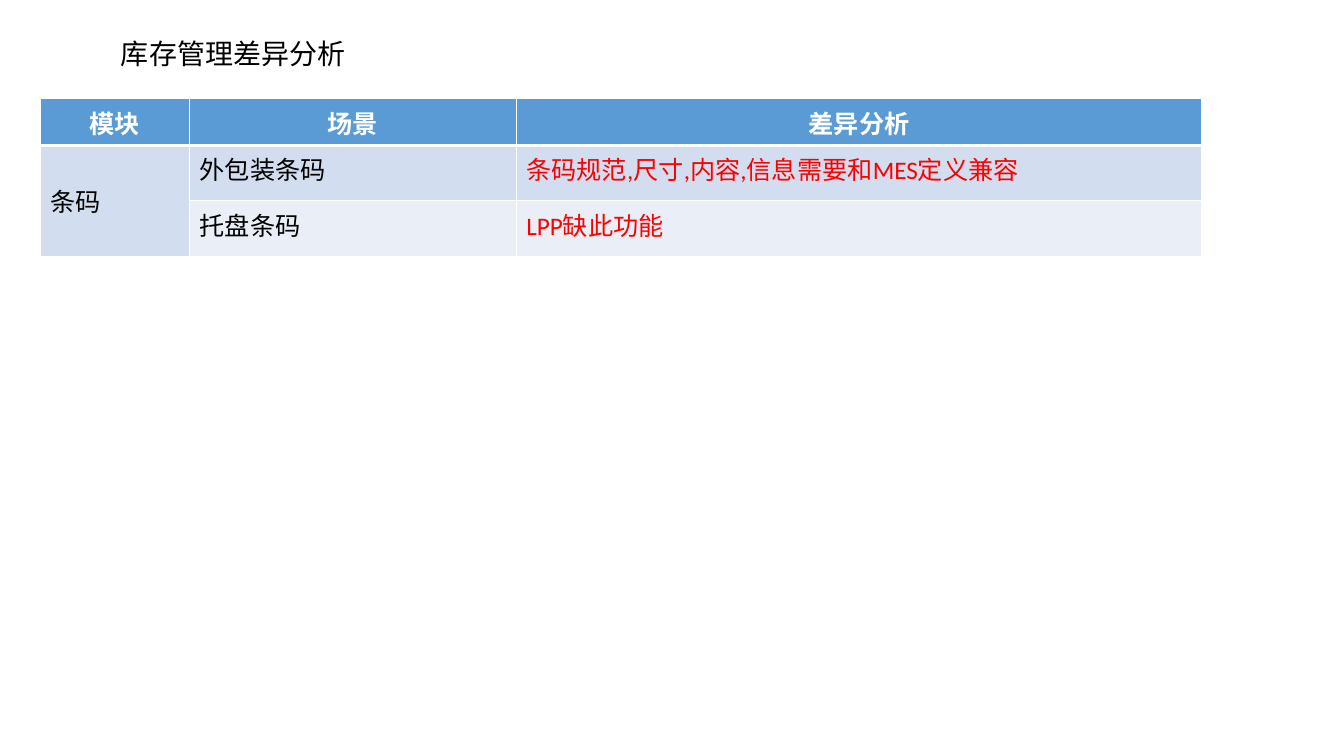
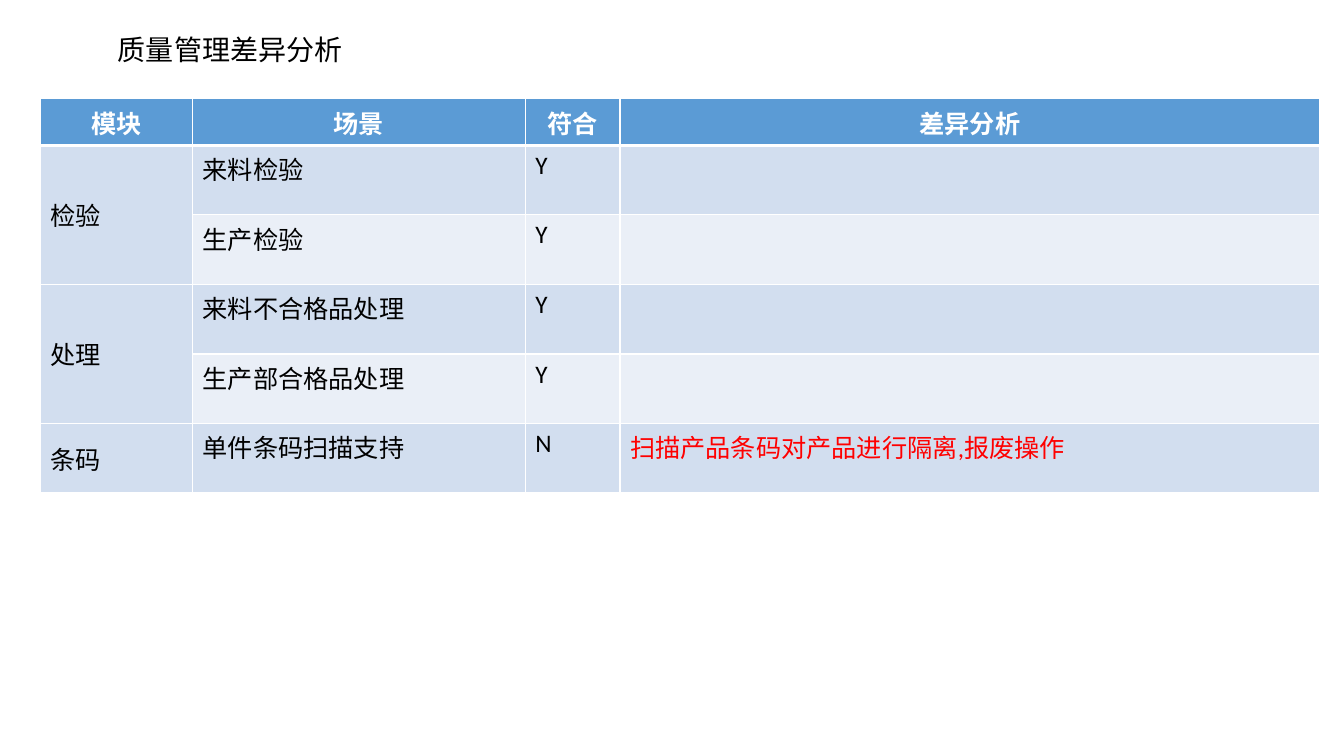
from lxml import etree
from pptx import Presentation
from pptx.dml.color import RGBColor
from pptx.enum.text import MSO_ANCHOR, MSO_AUTO_SIZE, PP_ALIGN
from pptx.oxml.ns import qn
from pptx.util import Inches, Pt

CENTER, LEFT = PP_ALIGN.CENTER, PP_ALIGN.LEFT
MIDDLE, TOP = MSO_ANCHOR.MIDDLE, MSO_ANCHOR.TOP
NO_AUTOFIT = MSO_AUTO_SIZE.NONE

COLORS = {"header": "5B9BD5", "odd": "D2DEEF", "even": "EAEFF7",
          "white": "FFFFFF", "black": "000000", "gap": "FF0000"}
LATIN, CJK = "Calibri", "Noto Sans CJK SC"
TABLE_LEFT, TABLE_TOP = 0.4, 0.98
TITLE_SIZE = (4.12, 0.44)

# Content: a None module continues the module above it
SLIDES = [
    {"title": "库存管理差异分析", "title_at": (1.1, 0.31),
     "cols": [1.48, 3.24, 6.8], "header_h": 0.32, "row_h": 0.55, "height": 1.51,
     "rows": [("模块", "场景", "差异分析"),
              ("条码", "外包装条码", "条码规范,尺寸,内容,信息需要和MES定义兼容"),
              (None, "托盘条码", "LPP缺此功能")]},
    {"title": "质量管理差异分析", "title_at": (1.07, 0.27),
     "cols": [1.51, 3.3, 0.94, 6.94], "header_h": 0.4, "row_h": 0.69, "height": 3.83,
     "rows": [("模块", "场景", "符合", "差异分析"),
              ("检验", "来料检验", "Y", ""),
              (None, "生产检验", "Y", ""),
              ("处理", "来料不合格品处理", "Y", ""),
              (None, "生产部合格品处理", "Y", ""),
              ("条码", "单件条码扫描支持", "N", "扫描产品条码对产品进行隔离,报废操作")]},
]


def rgb(name):
    return RGBColor.from_string(COLORS[name])


def style_text(p, size, color, latin, bold=False):
    p.font.size = Pt(size)
    for r in p.runs:
        r.font.size, r.font.bold = Pt(size), bold
        r.font.name = latin
        r.font.color.rgb = rgb(color)
        ea = etree.Element(qn("a:ea"), typeface=CJK)
        r._r.get_or_add_rPr().find(qn("a:latin")).addnext(ea)


def set_borders(cell, row):
    """White grid, with a heavier rule under the header row."""
    widths = {"L": 1, "R": 1, "T": 3 if row == 1 else 1, "B": 3 if row == 0 else 1}
    for side, width in widths.items():
        ln = etree.SubElement(cell._tc.get_or_add_tcPr(), qn(f"a:ln{side}"), w=str(Pt(width)))
        fill = etree.SubElement(ln, qn("a:solidFill"))
        etree.SubElement(fill, qn("a:srgbClr"), val=COLORS["white"])


def add_title(s, text, at):
    sp = s.shapes.title
    sp.left, sp.top = map(Inches, at)
    sp.width, sp.height = map(Inches, TITLE_SIZE)
    tf = sp.text_frame
    tf.text = text
    tf.word_wrap, tf.auto_size, tf.vertical_anchor = True, NO_AUTOFIT, MIDDLE
    p = tf.paragraphs[0]
    p.alignment = LEFT
    style_text(p, 20, "black", CJK)


def add_gap_table(s, data):
    rows, cols = data["rows"], data["cols"]
    frame = s.shapes.add_table(len(rows), len(cols), Inches(TABLE_LEFT), Inches(TABLE_TOP),
                               Inches(sum(cols)), Inches(data["height"]))
    table = frame.table
    for col, width in zip(table.columns, cols):
        col.width = Inches(width)
    for i, values in enumerate(rows):
        table.rows[i].height = Inches(data["row_h"] if i else data["header_h"])
        band = "header" if i == 0 else "odd" if i % 2 else "even"
        for j, value in enumerate(values):
            cell = table.cell(i, j)
            set_borders(cell, i)
            cell.fill.solid()
            cell.fill.fore_color.rgb = rgb(band)
            cell.vertical_anchor = MIDDLE if i and j == 0 else TOP
            cell.text = value or ""
            p = cell.text_frame.paragraphs[0]
            p.alignment = LEFT if i else CENTER
            color = "white" if i == 0 else "gap" if j == len(cols) - 1 else "black"
            style_text(p, 18, color, LATIN, bold=i == 0)
        if values[0] is None:
            table.cell(i - 1, 0).merge(table.cell(i, 0))
    frame.height = Inches(data["height"])


def main():
    prs = Presentation()
    prs.slide_width, prs.slide_height = Inches(13.33), Inches(7.5)
    for data in SLIDES:
        s = prs.slides.add_slide(prs.slide_layouts[5])
        add_title(s, data["title"], data["title_at"])
        add_gap_table(s, data)
    prs.save("out.pptx")


if __name__ == "__main__":
    main()
